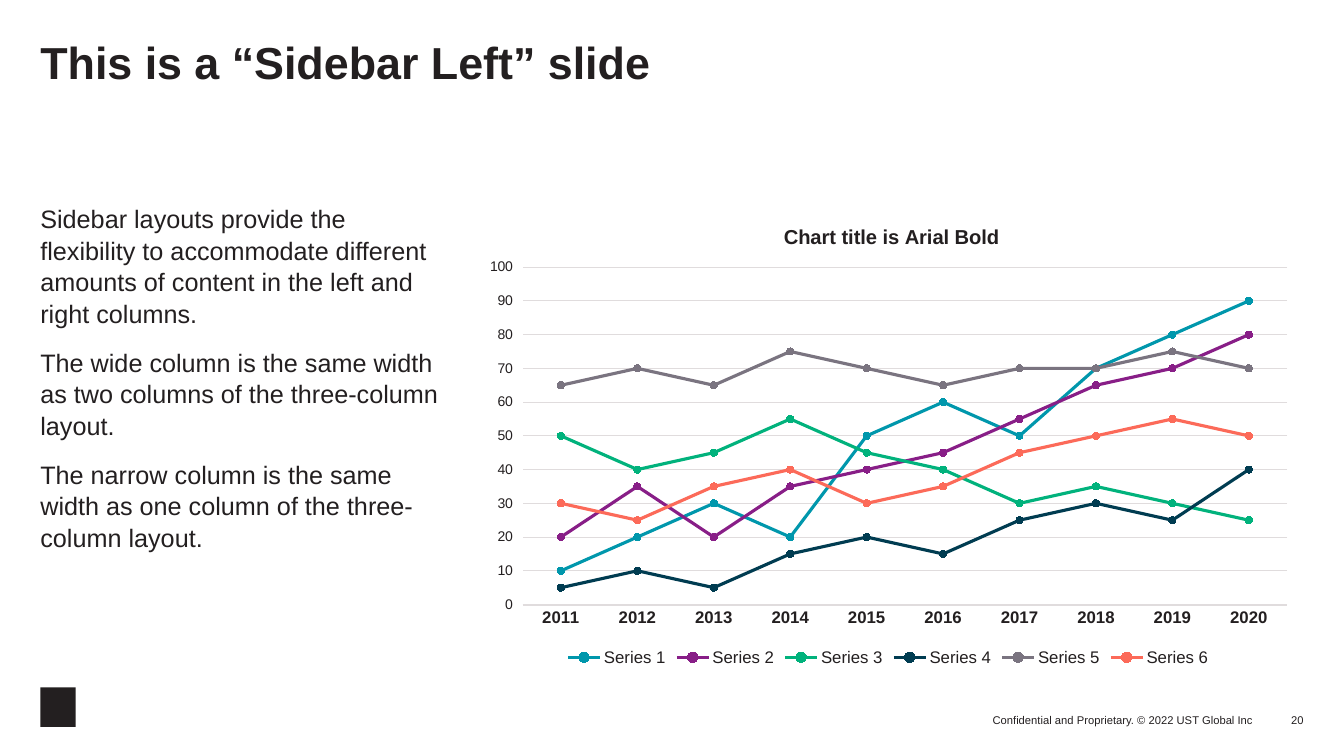
"""Build the "Sidebar Left" slide: a text column beside a six-series line chart."""
from lxml import etree
from pptx import Presentation
from pptx.chart.data import CategoryChartData
from pptx.dml.color import RGBColor
from pptx.enum import chart as ch, shapes, text
from pptx.oxml.ns import qn
from pptx.util import Inches, Pt

INK, RULE = "231F20", "E0DCDD"
FONT = "Arial"
MARGIN, TOP, HEIGHT = 0.4, 2, 4.65
RIGHT = 12.93

HEADING = "This is a “Sidebar Left” slide"
SIDEBAR = [
    "Sidebar layouts provide the flexibility to accommodate different amounts "
    "of content in the left and right columns.",
    "The wide column is the same width as two columns of the three-column layout.",
    "The narrow column is the same width as one column of the three-column layout.",
]
FOOTERS = [
    ("Confidential and Proprietary. © 2022 UST Global Inc", 8.99, 7.01, 3.44, 0.2),
    ("20", 12.43, 6.91, 0.5, 0.3),
]
CHART_TITLE = "Chart title is Arial Bold"
YEARS = [str(year) for year in range(2011, 2021)]
SERIES = [
    ("Series 1", "0097AC", (10, 20, 30, 20, 50, 60, 50, 70, 80, 90)),
    ("Series 2", "881E87", (20, 35, 20, 35, 40, 45, 55, 65, 70, 80)),
    ("Series 3", "01B27C", (50, 40, 45, 55, 45, 40, 30, 35, 30, 25)),
    ("Series 4", "003C51", (5, 10, 5, 15, 20, 15, 25, 30, 25, 40)),
    ("Series 5", "7A7480", (65, 70, 65, 75, 70, 65, 70, 70, 75, 70)),
    ("Series 6", "FC6A59", (30, 25, 35, 40, 30, 35, 45, 50, 55, 50)),
]


def rgb(value):
    return RGBColor.from_string(value)


def style(font, size, bold=False):
    font.name, font.size, font.bold = FONT, Pt(size), bold
    font.color.rgb = rgb(INK)


def paint(fill, color):
    fill.solid()
    fill.fore_color.rgb = rgb(color)


def rule(line, color, width):
    line.color.rgb = rgb(color)
    line.width = Pt(width)


def frame_of(box, anchor, wrap=True):
    frame = box.text_frame
    frame.margin_left = frame.margin_right = frame.margin_top = frame.margin_bottom = 0
    frame.vertical_anchor, frame.word_wrap = anchor, wrap
    frame.auto_size = text.MSO_AUTO_SIZE.NONE
    return frame


def add_text(slide, left, top, width, height, anchor, wrap=True):
    box = slide.shapes.add_textbox(*map(Inches, (left, top, width, height)))
    return frame_of(box, anchor, wrap)


def place(parent, index, **settings):
    for old in parent.findall(qn("c:layout")):
        parent.remove(old)
    layout = etree.Element(qn("c:layout"))
    manual = etree.SubElement(layout, qn("c:manualLayout"))
    for tag, value in settings.items():
        etree.SubElement(manual, qn("c:" + tag)).set("val", str(value))
    parent.insert(index, layout)


def add_heading(slide):
    title = slide.shapes.title
    title.left, title.top, title.width, title.height = map(
        Inches, (MARGIN, 0.4, RIGHT - MARGIN, 1))
    frame = frame_of(title, text.MSO_ANCHOR.TOP)
    frame.text = HEADING
    heading = frame.paragraphs[0]
    heading.alignment, heading.line_spacing = text.PP_ALIGN.LEFT, 0.9
    style(heading.runs[0].font, 32, True)


def add_sidebar(slide):
    frame = add_text(slide, MARGIN, TOP, 3.95, HEIGHT, text.MSO_ANCHOR.TOP)
    frame.text = "\n".join(SIDEBAR)
    for index, paragraph in enumerate(frame.paragraphs):
        paragraph.line_spacing = 1.05
        paragraph.space_before = Pt(12 if index else 0)
        style(paragraph.runs[0].font, 18)


def add_line_chart(slide):
    data = CategoryChartData()
    data.categories = YEARS
    for name, _, values in SERIES:
        data.add_series(name, values)
    left = 4.69
    chart = slide.shapes.add_chart(
        ch.XL_CHART_TYPE.LINE_MARKERS,
        *map(Inches, (left, TOP, RIGHT - left, HEIGHT)), data).chart
    style(chart.font, 12)

    chart.has_title = True
    chart.chart_title.text_frame.text = CHART_TITLE
    style(chart.chart_title.text_frame.paragraphs[0].runs[0].font, 14.4, True)
    chart.chart_title.include_in_layout = False
    place(chart.element.find(".//" + qn("c:title")), 1,
          xMode="edge", yMode="edge", x=0.37, y=0.04)
    place(chart.element.find(".//" + qn("c:plotArea")), 0, layoutTarget="inner",
          xMode="edge", yMode="edge", x=0.06, y=0.14, w=0.92, h=0.72)

    chart.has_legend = True
    chart.legend.position = ch.XL_LEGEND_POSITION.BOTTOM
    chart.legend.include_in_layout = False
    style(chart.legend.font, 12)

    years, scale = chart.category_axis, chart.value_axis
    years.major_tick_mark = ch.XL_TICK_MARK.NONE
    style(years.tick_labels.font, 12, True)
    rule(years.format.line, RULE, 1.5)
    scale.minimum_scale, scale.maximum_scale, scale.major_unit = 0, 100, 10
    scale.format.line.fill.background()
    style(scale.tick_labels.font, 10)
    rule(scale.major_gridlines.format.line, RULE, 0.75)

    plot = chart.plots[0]
    plot.vary_by_categories = False
    for series, (_, color, _) in zip(plot.series, SERIES):
        series.smooth = False
        rule(series.format.line, color, 2.25)
        series.marker.style, series.marker.size = ch.XL_MARKER_STYLE.CIRCLE, 5
        paint(series.marker.format.fill, color)
        rule(series.marker.format.line, color, 0.75)


def add_footer(slide):
    emblem = slide.shapes.add_shape(
        shapes.MSO_SHAPE.RECTANGLE, *map(Inches, (MARGIN, 6.82, 0.35, 0.39)))
    emblem.shadow.inherit = False
    paint(emblem.fill, INK)
    emblem.line.fill.background()
    for words, *position in FOOTERS:
        frame = add_text(slide, *position, text.MSO_ANCHOR.BOTTOM, wrap=False)
        frame.text = words
        frame.paragraphs[0].alignment = text.PP_ALIGN.RIGHT
        style(frame.paragraphs[0].runs[0].font, 8)


def main():
    deck = Presentation()
    deck.slide_width, deck.slide_height = Inches(13.33), Inches(7.5)
    slide = deck.slides.add_slide(deck.slide_layouts[5])
    paint(slide.background.fill, "FFFFFF")
    add_heading(slide)
    add_sidebar(slide)
    add_line_chart(slide)
    add_footer(slide)
    deck.save("out.pptx")


if __name__ == "__main__":
    main()
